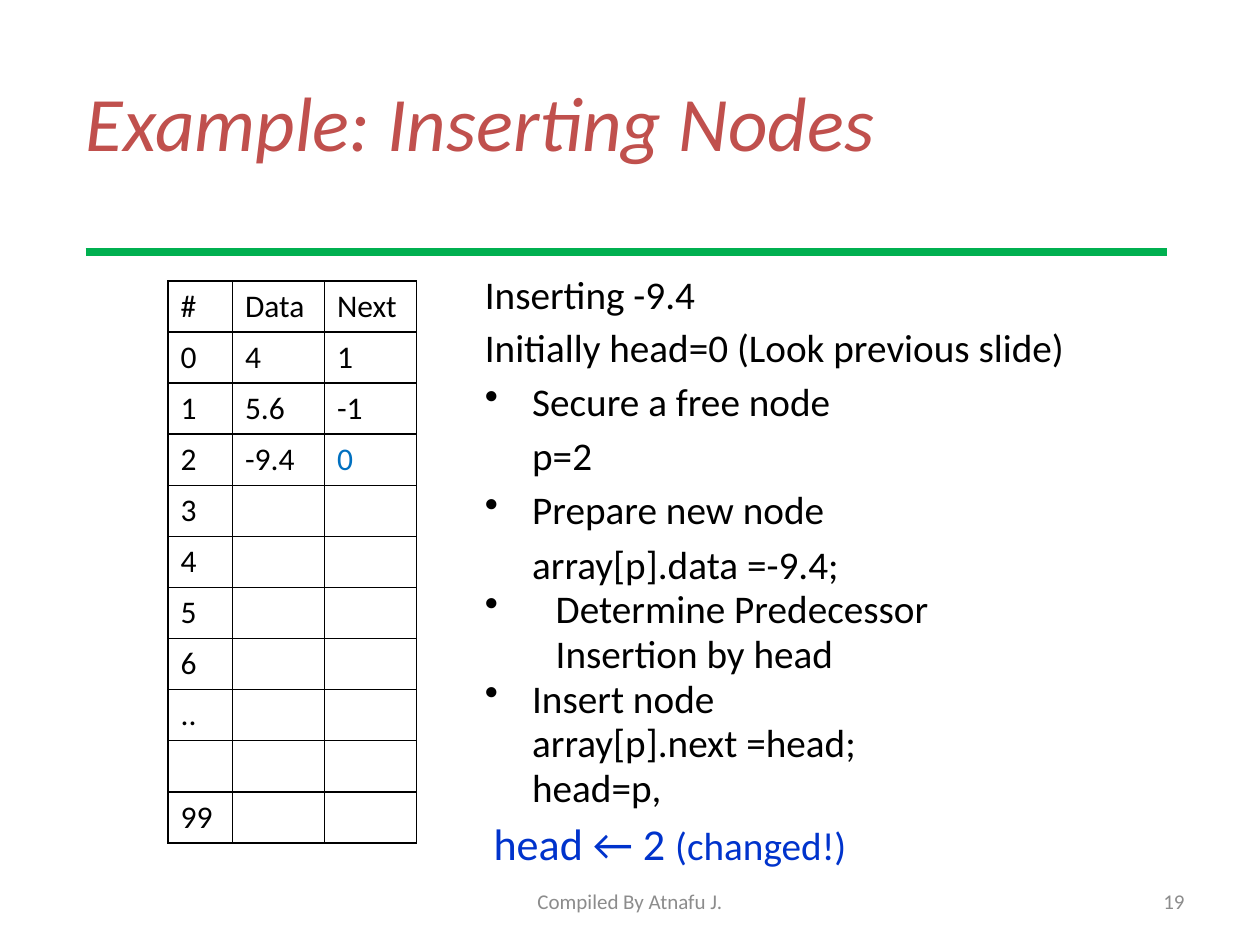
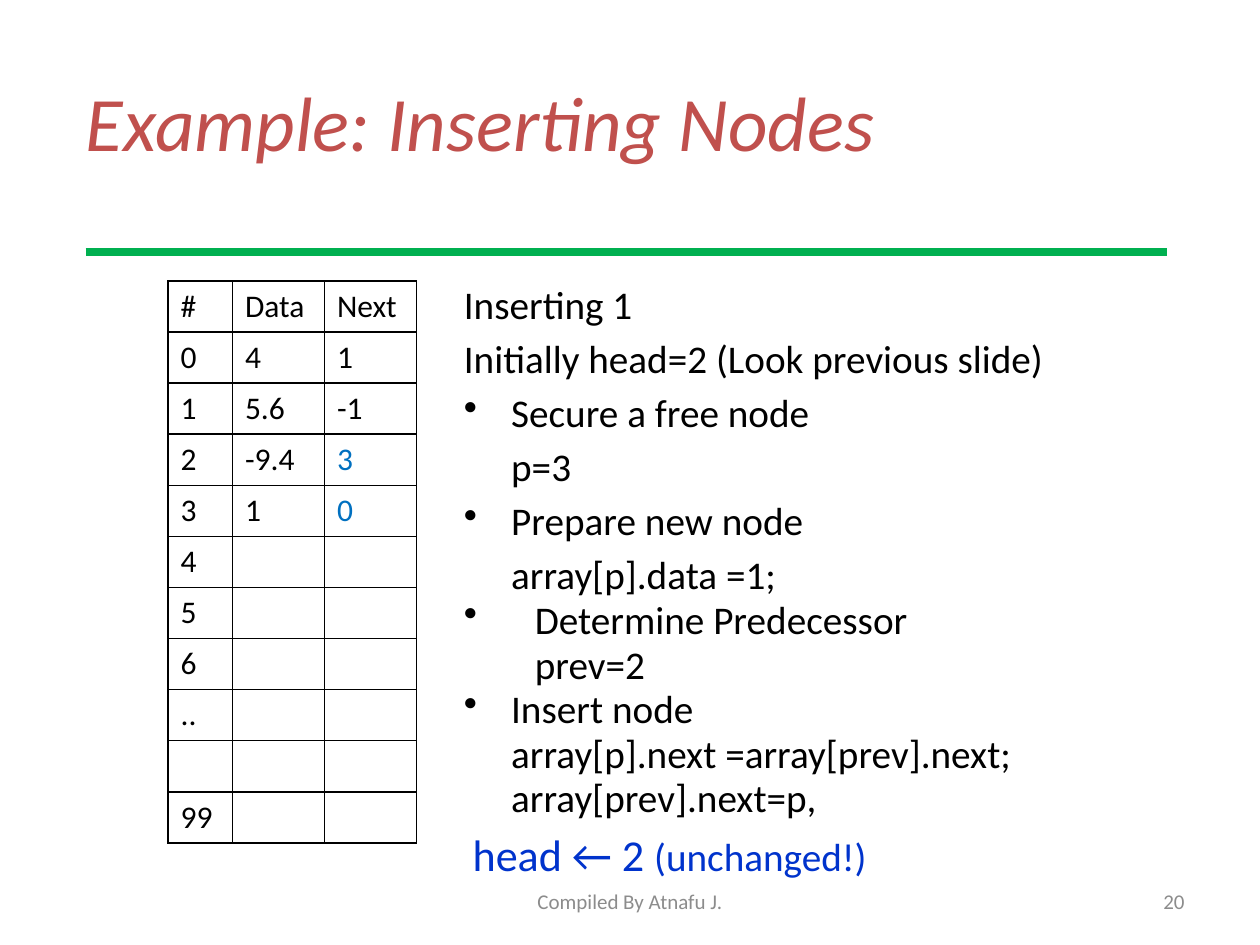
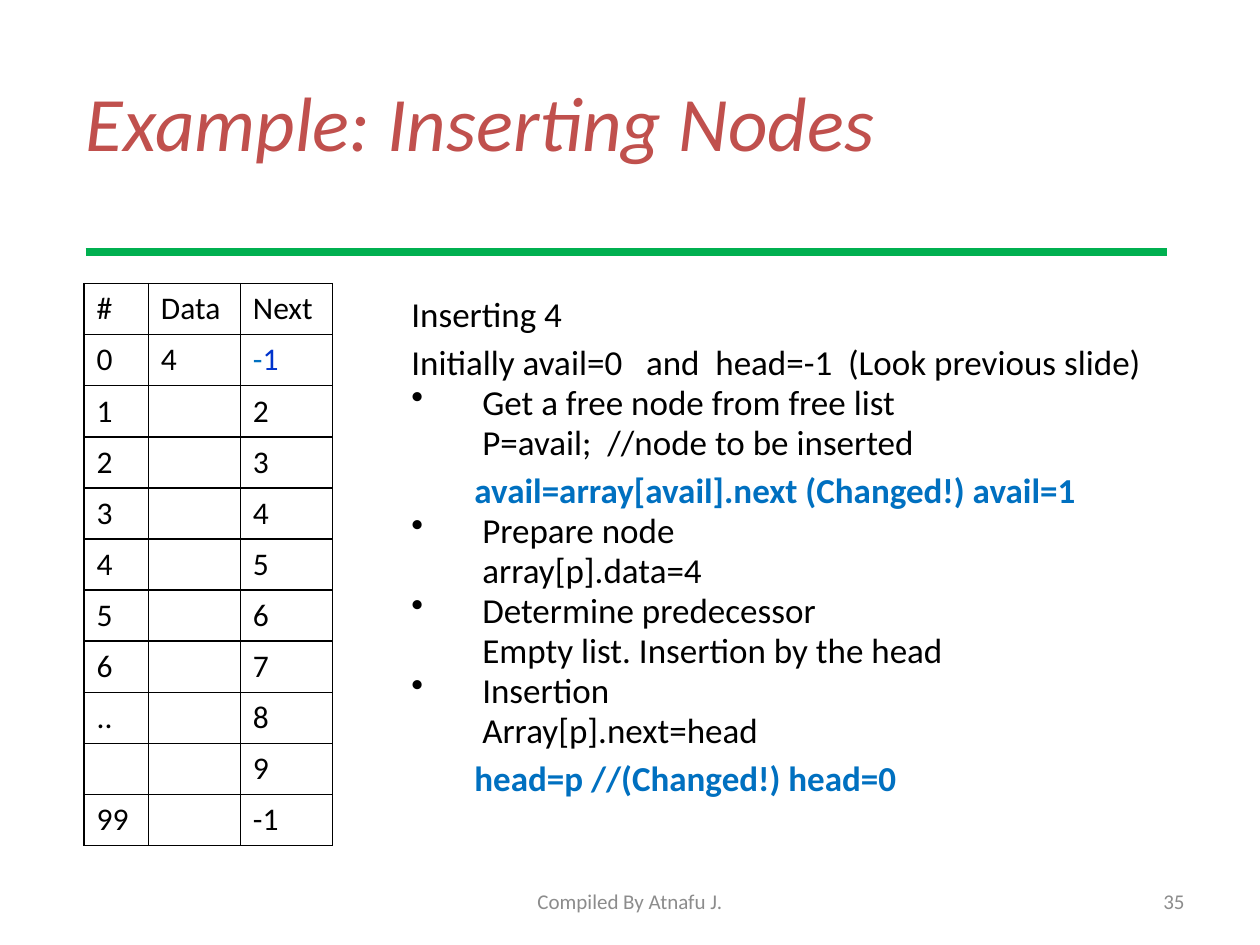
from dataclasses import dataclass

from lxml import etree
from pptx import Presentation
from pptx.dml.color import RGBColor
from pptx.enum.shapes import MSO_CONNECTOR
from pptx.enum.text import MSO_ANCHOR, PP_ALIGN
from pptx.oxml.ns import qn
from pptx.slide import Slide
from pptx.text.text import TextFrame
from pptx.util import Pt

LEFT, CENTER, RIGHT = PP_ALIGN.LEFT, PP_ALIGN.CENTER, PP_ALIGN.RIGHT
TOP, MIDDLE = MSO_ANCHOR.TOP, MSO_ANCHOR.MIDDLE
STRAIGHT = MSO_CONNECTOR.STRAIGHT


@dataclass(frozen=True)
class Theme:
    font: str = "Calibri"
    ink: str = "000000"
    title: str = "C0504D"
    rule: str = "00B050"
    muted: str = "8C8C8C"
    accent: str = "0070C0"
    change: str = "0033CC"
    title_size: float = 44
    step_size: float = 22.4
    head_size: float = 25.2
    dense_size: float = 20
    cell_size: float = 18
    footer_size: float = 12
    space_ratio: float = 0.18


THEME = Theme()


@dataclass(frozen=True)
class Box:
    left: float
    top: float
    width: float
    height: float


@dataclass(frozen=True)
class Layout:
    """Indent, line spacing and bullet of a paragraph."""
    indent: float = 0
    spacing: float = 1.0
    bullet: bool = False


@dataclass(frozen=True)
class Run:
    text: str
    color: str = THEME.ink
    size: float | None = None


@dataclass(frozen=True)
class Step:
    runs: tuple[Run, ...]
    layout: Layout
    color: str = THEME.ink
    bold: bool = False


Cell = tuple[Run, ...]


@dataclass(frozen=True)
class Example:
    number: int
    table_left: float
    table_top: float
    nodes: dict[int, tuple[Cell, Cell]]
    steps_box: Box
    step_size: float
    steps: list[Step]


TITLE_BOX = Box(42, 24, 648, 90)
FOOTER_BOX = Box(246, 500.5, 228, 28.8)
NUMBER_BOX = Box(516, 500.5, 168, 28.8)
RULE_LEFT, RULE_RIGHT, RULE_TOP, RULE_WIDTH = 49, 667, 144, 4.25

COLUMN_WIDTHS = (36.8, 52.6, 52.6)
ROW_HEIGHT = 29.2
HEADINGS = ("#", "Data", "Next")
INDEXES = ("0", "1", "2", "3", "4", "5", "6", "..", "", "99")

TIGHT = 0.8
NARROW, WIDE = 27, 40.5
OPENING = Layout(spacing=TIGHT)
STATE = Layout()
BULLET = Layout(NARROW, bullet=True)
DETAIL = Layout(NARROW)
TIGHT_BULLET = Layout(NARROW, TIGHT, True)
TIGHT_DETAIL = Layout(NARROW, TIGHT)
WIDE_BULLET = Layout(WIDE, TIGHT, True)
WIDE_DETAIL = Layout(WIDE, TIGHT)
RESULT = Layout(5)
CHANGED = Layout(36)


def step(text: str, layout: Layout) -> Step:
    return Step((Run(text),), layout)


def changed(text: str) -> Step:
    return Step((Run(text, THEME.accent),), CHANGED, THEME.accent, True)


def plain(text: str) -> Cell:
    return (Run(text),) if text else ()


def accented(text: str) -> Cell:
    return (Run(text, THEME.accent),)


def array_steps(value: str, head: int, free: int, predecessor: str,
                links: tuple[str, str], effect: str) -> list[Step]:
    """Steps of an insertion into an array without a free list."""
    result = (Run("head ← 2 ", THEME.change, THEME.head_size), Run(effect, THEME.change))
    return [
        step(f"Inserting {value}", OPENING),
        step(f"Initially head={head} (Look previous slide)", STATE),
        step("Secure a free node", BULLET),
        step(f"p={free}", DETAIL),
        step("Prepare new node", BULLET),
        step(f"array[p].data ={value};", DETAIL),
        step("Determine Predecessor", WIDE_BULLET),
        step(predecessor, WIDE_DETAIL),
        step("Insert node", TIGHT_BULLET),
        *(step(link, TIGHT_DETAIL) for link in links),
        Step(result, RESULT, THEME.change),
    ]


FREE_LIST_STEPS = [
    step("Inserting 4", OPENING),
    step("Initially avail=0   and  head=-1  (Look previous slide)", STATE),
    step("Get a free node from free list", WIDE_BULLET),
    step("P=avail;  //node to be inserted", WIDE_DETAIL),
    changed("avail=array[avail].next (Changed!) avail=1"),
    step("Prepare node", WIDE_BULLET),
    step("array[p].data=4", WIDE_DETAIL),
    step("Determine predecessor", WIDE_BULLET),
    step("Empty list. Insertion by the head", WIDE_DETAIL),
    step("Insertion", WIDE_BULLET),
    step("Array[p].next=head", WIDE_DETAIL),
    changed("head=p //(Changed!) head=0"),
]

FIRST_NODES = {0: (plain("4"), plain("1")), 1: (plain("5.6"), plain("-1"))}
FREE_NODES = {row: (plain(""), plain(str(row + 1))) for row in range(1, 9)}

EXAMPLES = [
    Example(
        19, 96, 160.5,
        {**FIRST_NODES, 2: (plain("-9.4"), accented("0"))},
        Box(270, 156, 413, 330), THEME.step_size,
        array_steps("-9.4", 0, 2, "Insertion by head",
                    ("array[p].next =head;", "head=p,"), "(changed!)")),
    Example(
        20, 96, 160.5,
        {**FIRST_NODES, 2: (plain("-9.4"), accented("3")), 3: (plain("1"), accented("0"))},
        Box(258, 162, 413, 330), THEME.step_size,
        array_steps("1", 2, 3, "prev=2",
                    ("array[p].next =array[prev].next;", "array[prev].next=p,"),
                    "(unchanged!)")),
    Example(
        35, 48, 162,
        {0: (plain("4"), (Run("-", THEME.accent), Run("1", THEME.change))),
         **FREE_NODES, 9: (plain(""), plain("-1"))},
        Box(228, 168, 456, 330), THEME.dense_size, FREE_LIST_STEPS),
]


def rgb(color: str) -> RGBColor:
    return RGBColor.from_string(color)


def set_font(font, size: float, color: str) -> None:
    font.name = THEME.font
    font.size = Pt(size)
    font.color.rgb = rgb(color)


def add_runs(paragraph, runs: tuple[Run, ...], base_color: str) -> None:
    """Write runs, marking only what differs from the paragraph font."""
    for part in runs:
        run = paragraph.add_run()
        run.text = part.text
        if part.color != base_color:
            run.font.color.rgb = rgb(part.color)
        if part.size:
            run.font.size = Pt(part.size)


def add_text_box(slide: Slide, box: Box, anchor=MIDDLE) -> TextFrame:
    frame = slide.shapes.add_textbox(
        Pt(box.left), Pt(box.top), Pt(box.width), Pt(box.height)).text_frame
    frame.word_wrap = True
    frame.vertical_anchor = anchor
    return frame


def add_label(slide: Slide, box: Box, text: str, size: float, color: str,
              align=LEFT, italic: bool = False) -> None:
    paragraph = add_text_box(slide, box).paragraphs[0]
    paragraph.text = text
    paragraph.alignment = align
    set_font(paragraph.font, size, color)
    paragraph.font.italic = italic


def add_frame(slide: Slide, number: int) -> None:
    """Draw the title, rule and footer that every slide has."""
    add_label(slide, TITLE_BOX, "Example: Inserting Nodes",
              THEME.title_size, THEME.title, italic=True)
    rule = slide.shapes.add_connector(
        STRAIGHT, Pt(RULE_LEFT), Pt(RULE_TOP), Pt(RULE_RIGHT), Pt(RULE_TOP))
    rule.line.color.rgb = rgb(THEME.rule)
    rule.line.width = Pt(RULE_WIDTH)
    etree.SubElement(rule._element.spPr, qn("a:effectLst"))
    for box, text, align in ((NUMBER_BOX, str(number), RIGHT),
                             (FOOTER_BOX, "Compiled By Atnafu J.", CENTER)):
        add_label(slide, box, text, THEME.footer_size, THEME.muted, align)


def outline_cell(cell) -> None:
    properties = cell._tc.get_or_add_tcPr()
    for position, side in enumerate(("lnL", "lnR", "lnT", "lnB")):
        border = etree.Element(qn(f"a:{side}"), w=str(Pt(1)))
        fill = etree.SubElement(border, qn("a:solidFill"))
        etree.SubElement(fill, qn("a:srgbClr"), val=THEME.ink)
        properties.insert(position, border)


def add_node_table(slide: Slide, example: Example) -> None:
    empty = ((), ())
    rows = [tuple(plain(heading) for heading in HEADINGS)]
    rows += [(plain(index), *example.nodes.get(row, empty))
             for row, index in enumerate(INDEXES)]
    table = slide.shapes.add_table(
        len(rows), len(COLUMN_WIDTHS), Pt(example.table_left), Pt(example.table_top),
        Pt(sum(COLUMN_WIDTHS)), Pt(ROW_HEIGHT * len(rows))).table
    table.first_row = table.horz_banding = False
    for column, width in zip(table.columns, COLUMN_WIDTHS):
        column.width = Pt(width)
    for row, contents in zip(table.rows, rows):
        row.height = Pt(ROW_HEIGHT)
        for cell, runs in zip(row.cells, contents):
            cell.fill.background()
            outline_cell(cell)
            paragraph = cell.text_frame.paragraphs[0]
            base_color = runs[0].color if runs else THEME.ink
            add_runs(paragraph, runs, base_color)
            set_font(paragraph.font, THEME.cell_size, base_color)


def set_layout(paragraph, layout: Layout, size: float) -> None:
    paragraph.line_spacing = layout.spacing
    paragraph.space_before = Pt(round(size * THEME.space_ratio, 1))
    properties = paragraph._p.get_or_add_pPr()
    properties.set("marL", str(Pt(layout.indent)))
    properties.set("indent", str(Pt(-layout.indent if layout.bullet else 0)))
    if layout.bullet:
        etree.SubElement(properties, qn("a:buChar"), char="•")


def add_steps(slide: Slide, example: Example) -> None:
    frame = add_text_box(slide, example.steps_box, TOP)
    for position, item in enumerate(example.steps):
        paragraph = frame.add_paragraph() if position else frame.paragraphs[0]
        set_layout(paragraph, item.layout, example.step_size)
        set_font(paragraph.font, example.step_size, item.color)
        paragraph.font.bold = item.bold
        add_runs(paragraph, item.runs, item.color)


def main() -> None:
    presentation = Presentation()
    presentation.slide_width, presentation.slide_height = Pt(720), Pt(540)
    blank = presentation.slide_layouts[6]
    for example in EXAMPLES:
        slide = presentation.slides.add_slide(blank)
        add_frame(slide, example.number)
        add_node_table(slide, example)
        add_steps(slide, example)
    presentation.save("out.pptx")


if __name__ == "__main__":
    main()
